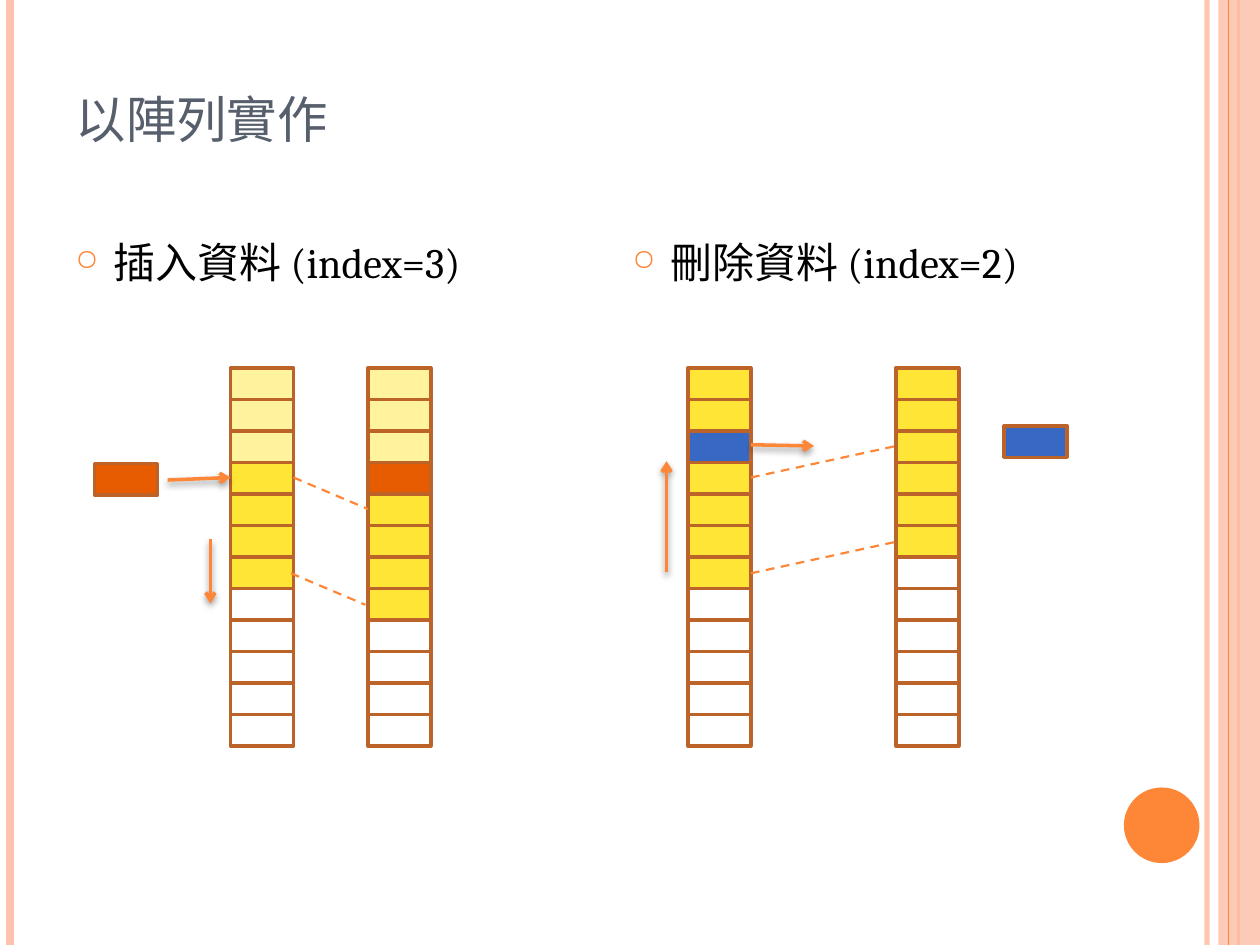
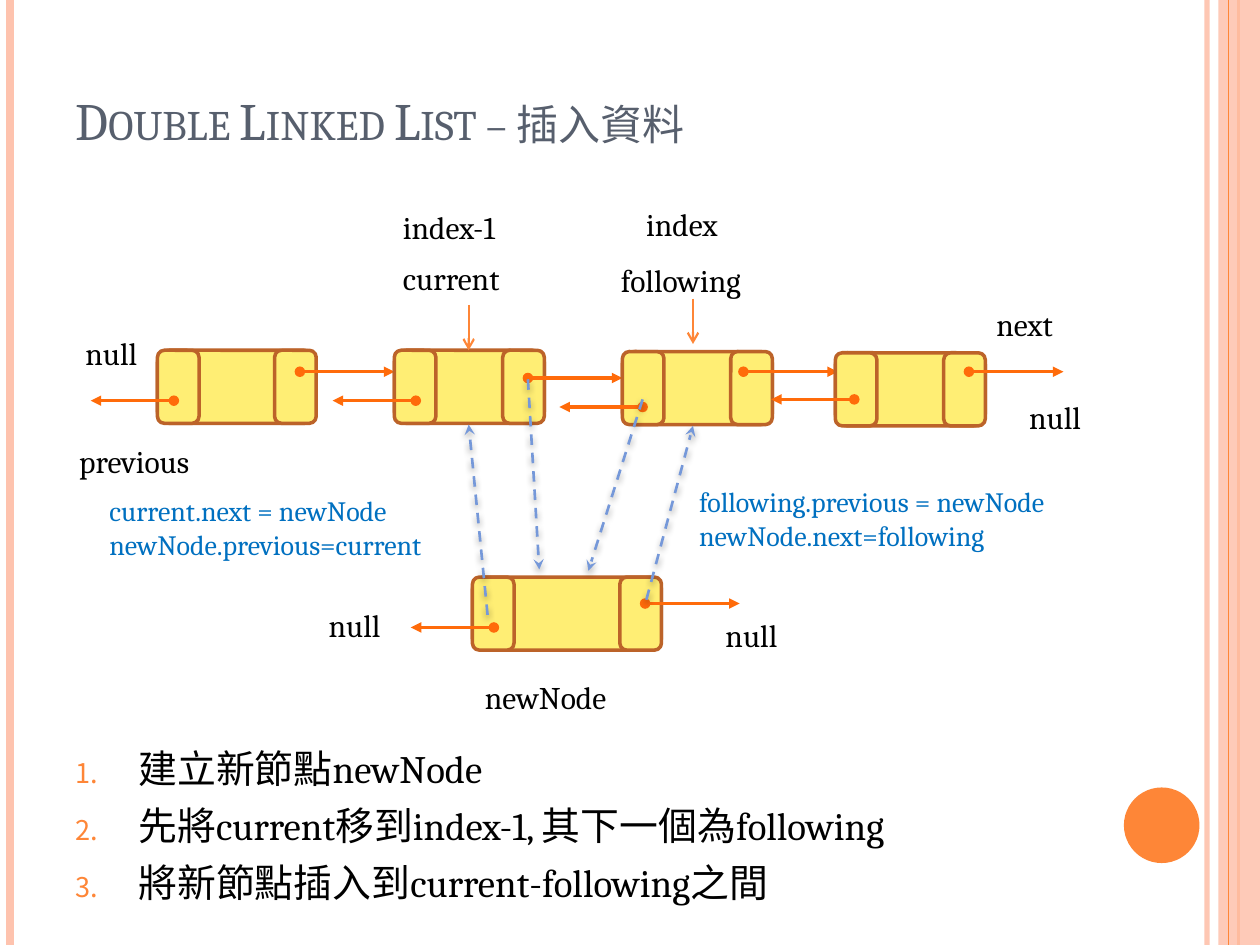
from itertools import chain, repeat

from lxml.etree import SubElement
from pptx import Presentation
from pptx.dml.color import RGBColor
from pptx.enum.dml import MSO_LINE_DASH_STYLE as DASH
from pptx.enum.shapes import MSO_CONNECTOR as CONN, MSO_SHAPE as SHAPE
from pptx.enum.text import MSO_ANCHOR as ANCHOR, MSO_AUTO_SIZE as AUTO, PP_ALIGN as ALIGN
from pptx.oxml.ns import qn
from pptx.util import Inches, Pt

C = {
    "accent": "FE8637", "band": "FEC3AE", "title": "575F6D", "text": "000000",
    "edge": "BC6329", "pale": "FFF39D", "yellow": "FFE636", "white": "FFFFFF",
    "inserted": "E75C01", "deleted": "3668C4", "node": "FFEE74",
    "pointer": "FF6B0A", "relink": "7598D9", "code": "0070C0",
}
FONT = "Cambria"
CELL_W, CELL_H, CELLS = 0.5, 0.25, 12
NODE_H, CAP_W = 0.58, 0.33


def rgb(name):
    return RGBColor.from_string(C[name])


def add_alpha(fill_parent, percent):
    color = fill_parent.find(".//" + qn("a:srgbClr"))
    SubElement(color, qn("a:alpha"), val=str(percent * 1000))


def add_block(s, kind, x, y, w, h, fill, line=None, alpha=None):
    sp = s.shapes.add_shape(kind, Inches(x), Inches(y), Inches(w), Inches(h))
    sp.shadow.inherit = False
    sp.fill.solid()
    sp.fill.fore_color.rgb = rgb(fill)
    if alpha:
        add_alpha(sp._element.spPr, alpha)
    if line:
        sp.line.color.rgb = rgb(line)
        sp.line.width = Pt(2)
    else:
        sp.line.fill.background()
    return sp


def add_line(s, start, end, color, width, dash=False, head=None, tail=None,
             shadow=False, alpha=None):
    sp = s.shapes.add_connector(CONN.STRAIGHT, *map(Inches, (*start, *end)))
    sp.line.color.rgb = rgb(color)
    sp.line.width = Pt(width)
    if dash:
        sp.line.dash_style = DASH.DASH
    spPr = sp._element.spPr
    ln = spPr.find(qn("a:ln"))
    if alpha:
        add_alpha(ln, alpha)
    for tag, kind in (("a:headEnd", head), ("a:tailEnd", tail)):
        if kind:
            SubElement(ln, qn(tag), type=kind)
    effects = SubElement(spPr, qn("a:effectLst"))
    if shadow:
        outer = SubElement(effects, qn("a:outerShdw"), blurRad=str(Pt(4)),
                           dist=str(Pt(2)), dir="5400000", rotWithShape="0")
        color = SubElement(outer, qn("a:srgbClr"), val=C["text"])
        SubElement(color, qn("a:alpha"), val="40000")


def write(p, text, size, color):
    r = p.add_run()
    r.text = text
    fmt = {"name": FONT, "size": Pt(size)}
    for key, value in fmt.items():
        setattr(r.font, key, value)
    r.font.color.rgb = rgb(color)
    return r


def add_bullet(p, indent, number=False):
    pPr = p._p.get_or_add_pPr()
    pPr.set("marL", str(Inches(indent)))
    pPr.set("indent", str(-Inches(indent)))
    SubElement(SubElement(pPr, qn("a:buClr")), qn("a:srgbClr"), val=C["accent"])
    SubElement(pPr, qn("a:buSzPct"), val="70000")
    if number:
        SubElement(pPr, qn("a:buAutoNum"), type="arabicPeriod")
    else:
        SubElement(pPr, qn("a:buChar"), char="○")


def add_text(s, x, y, w, h, lines, size=18, color="text", indent=None, number=False):
    tf = s.shapes.add_textbox(*map(Inches, (x, y, w, h))).text_frame
    tf.word_wrap = True
    for i, line in enumerate(lines):
        p = tf.add_paragraph() if i else tf.paragraphs[0]
        if indent:
            p.space_before = Pt(6)
            add_bullet(p, indent, number)
        write(p, line, size, color)


def add_frame(s):
    for x, color, width, alpha in ((9.58, "band", 3, 93), (0.08, "band", 4.5, None),
                                   (9.83, "accent", 1.5, None)):
        add_line(s, (x, 0), (x, 7.5), color, width, alpha=alpha)
    add_block(s, SHAPE.RECTANGLE, 9.67, 0, 0.33, 7.5, "band", alpha=87)
    add_line(s, (9.75, 0), (9.75, 7.5), "accent", 0.75)
    add_block(s, SHAPE.OVAL, 8.92, 6.25, 0.6, 0.6, "accent")


def add_slide(prs, title, size):
    s = prs.slides.add_slide(prs.slide_layouts[5])
    add_frame(s)
    sp = s.shapes.title
    box = {"left": 0.5, "top": 0.3, "width": 8.17, "height": 0.95}
    for key, value in box.items():
        setattr(sp, key, Inches(value))
    tf = sp.text_frame
    fmt = {"word_wrap": True, "auto_size": AUTO.NONE, "vertical_anchor": ANCHOR.BOTTOM}
    for key, value in fmt.items():
        setattr(tf, key, value)
    p = tf.paragraphs[0]
    p.alignment = ALIGN.LEFT
    r = write(p, title, size, "title")
    r._r.get_or_add_rPr().set("cap", "small")
    return s


def add_cell(s, x, y, fill):
    add_block(s, SHAPE.RECTANGLE, x, y, CELL_W, CELL_H, fill, "edge")


def add_array(s, x, y, groups):
    fills = list(chain.from_iterable(repeat(fill, n) for fill, n in groups))
    fills += ["white"] * (CELLS - len(fills))
    for i, fill in enumerate(fills):
        add_cell(s, x, y + i * CELL_H, fill)


def add_move(s, start, end):
    add_line(s, start, end, "accent", 2, tail="arrow", shadow=True)


def add_shift(s, start, end):
    add_line(s, start, end, "accent", 1.25, dash=True)


def insert_panel(s, x, y):
    add_text(s, x, y, 3.62, 0.6, ["插入資料 (index=3)"], 24, indent=0.3)
    top, before, after = y + 1.09, x + 1.33, x + 2.42
    add_array(s, before, top, [("pale", 3), ("yellow", 4)])
    add_array(s, after, top, [("pale", 3), ("inserted", 1), ("yellow", 4)])
    add_cell(s, x + 0.25, top + 0.76, "inserted")
    add_move(s, (x + 0.83, top + 0.89), (before, top + 0.87))
    add_move(s, (x + 1.17, top + 1.36), (x + 1.17, top + 1.87))
    for dx, dy in ((0, 0.87), (-0.02, 1.63)):
        add_shift(s, (before + CELL_W + dx, top + dy), (after + dx, top + dy + CELL_H))


def delete_panel(s, x, y):
    add_text(s, x, y, 3.3, 1, ["刪除資料 (index=2)"], 24, indent=0.3)
    top, before, after = y + 1.09, x + 0.54, x + 2.19
    add_array(s, before, top, [("yellow", 2), ("deleted", 1), ("yellow", 4)])
    add_array(s, after, top, [("yellow", 6)])
    add_cell(s, x + 3.05, top + 0.46, "deleted")
    add_move(s, (before + CELL_W, top + 0.61), (before + 1, top + 0.62))
    add_move(s, (x + 0.37, top + 1.62), (x + 0.37, top + 0.74))
    for dy in (0.87, 1.63):
        add_shift(s, (before + CELL_W, top + dy), (after, top + dy - CELL_H))


def add_node(s, x, y, w, prev_at, next_at):
    for left, width in ((x, w), (x, CAP_W), (x + w - CAP_W, CAP_W)):
        add_block(s, SHAPE.ROUNDED_RECTANGLE, left, y, width, NODE_H, "node", "edge")
    for (px, py), reach in ((prev_at, -0.66), (next_at, 0.75)):
        add_line(s, (px, py), (px + reach, py), "pointer", 2, head="oval", tail="triangle")


def list_diagram(s, x, y):
    nodes = (
        (0.75, 1.2, 1.26, (0.88, 1.6), (1.88, 1.37)),
        (2.63, 1.2, 1.19, (2.8, 1.6), (3.69, 1.42)),
        (4.44, 1.21, 1.19, (4.6, 1.65), (5.4, 1.37)),
        (6.13, 1.22, 1.19, (6.28, 1.59), (7.19, 1.37)),
        (3.25, 3, 1.5, (3.42, 3.4), (4.62, 3.21)),
    )
    for nx, ny, w, prev_at, next_at in nodes:
        add_node(s, x + nx, y + ny, w, (x + prev_at[0], y + prev_at[1]),
                 (x + next_at[0], y + next_at[1]))
    labels = (
        ("index-1", 2.6, 0.02), ("current", 2.6, 0.43),
        ("index", 4.53, 0), ("following", 4.33, 0.44),
        ("null", 0.08, 1.02), ("previous", 0.03, 1.88),
        ("next", 7.31, 0.79), ("null", 7.57, 1.53),
        ("null", 2.01, 3.18), ("null", 5.16, 3.26), ("newNode", 3.25, 3.75),
    )
    for text, lx, ly in labels:
        add_text(s, x + lx, y + ly, 1.4, 0.4, [text])
    for lx, ly in ((3.22, 0.84), (5, 0.79)):
        add_line(s, (x + lx, y + ly), (x + lx, y + ly + 0.36), "accent", 1.25, tail="arrow")
    relinks = (
        (3.69, 1.43, 3.78, 2.94), (3.37, 3.3, 3.22, 1.79),
        (4.6, 1.59, 4.17, 2.95), (4.63, 3.18, 5, 1.8),
    )
    for x1, y1, x2, y2 in relinks:
        add_line(s, (x + x1, y + y1), (x + x2, y + y2), "relink", 1.5,
                 dash=True, tail="stealth", shadow=True)
    add_text(s, x + 0.27, y + 2.29, 3.36, 0.64,
             ["current.next = newNode", "newNode.previous=current"], 16, "code")
    add_text(s, x + 4.95, y + 2.22, 3.69, 0.64,
             ["following.previous = newNode", "newNode.next=following"], 16, "code")


def step_list(s, x, y):
    steps = ["建立新節點newNode", "先將current移到index-1, 其下一個為following",
             "將新節點插入到current-following之間"]
    add_text(s, x, y, 8.17, 1.22, steps, 22.2, indent=0.5, number=True)


prs = Presentation()
prs.slide_width, prs.slide_height = Inches(10), Inches(7.5)

s = add_slide(prs, "以陣列實作", 36)
insert_panel(s, 0.5, 1.83)
delete_panel(s, 4.92, 1.83)

s = add_slide(prs, "Double Linked List – 插入資料", 30)
list_diagram(s, 0.5, 1.58)
step_list(s, 0.5, 5.86)

prs.save("out.pptx")
